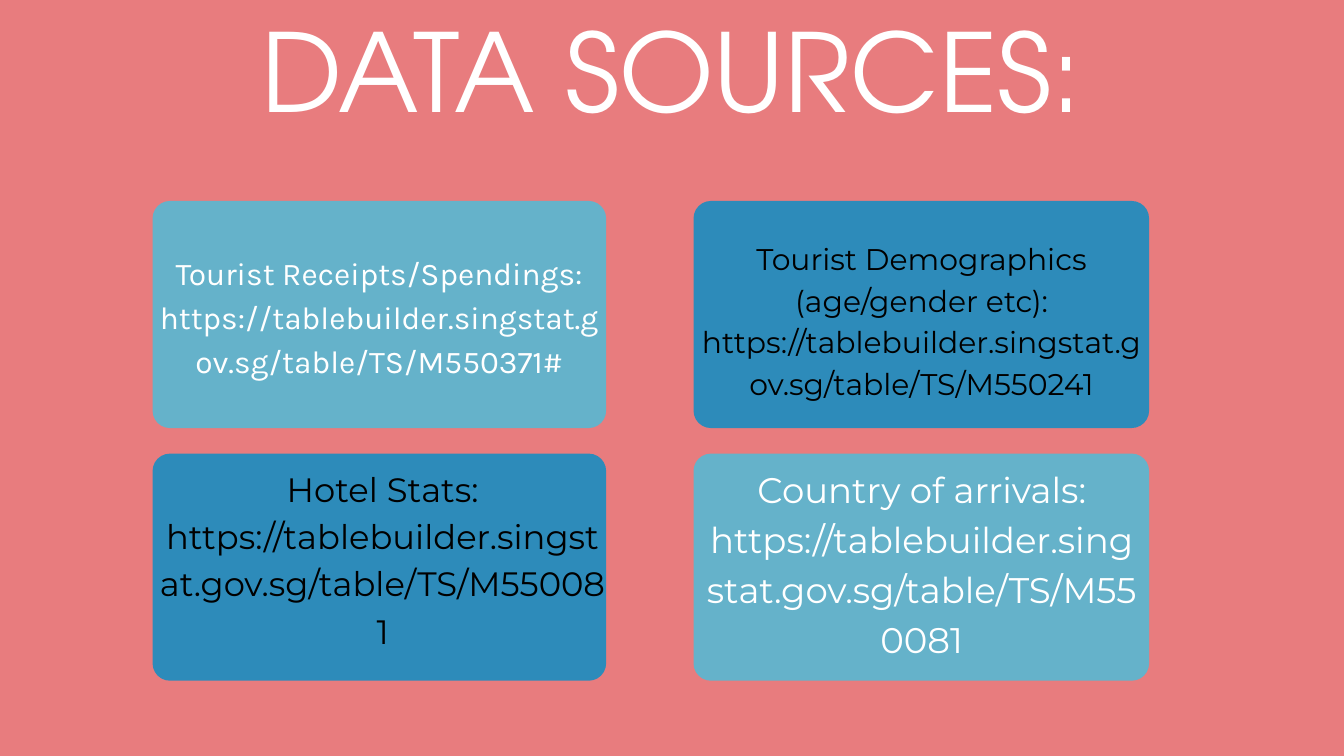
from pptx import Presentation
from pptx.dml.color import RGBColor
from pptx.enum.shapes import MSO_SHAPE
from pptx.enum.text import MSO_AUTO_SIZE, PP_ALIGN
from pptx.util import Inches, Pt

CORAL = RGBColor(0xE8, 0x7C, 0x7E)
LIGHT_BLUE = RGBColor(0x65, 0xB2, 0xCA)
DARK_BLUE = RGBColor(0x2D, 0x8B, 0xBA)
WHITE = RGBColor(0xFF, 0xFF, 0xFF)
BLACK = RGBColor(0, 0, 0)

TITLE = "DATA SOURCES:"
TABLE_URL = "https://tablebuilder.singstat.gov.sg/table/TS/"

# Rows of cards: label, table id, fill, text format, text box (left, top, width, height)
CARD_ROWS = [
    [
        ("Tourist Receipts/Spendings:", "M550371#", LIGHT_BLUE,
         dict(font="Karla", size=33.9, spacing=47.5, color=WHITE),
         (2.37, 3.68, 6.55, 1.95)),
        ("Tourist Demographics (age/gender etc):", "M550241", DARK_BLUE,
         dict(font="Montserrat", size=32, spacing=44.8, color=BLACK),
         (10.44, 3.49, 6.55, 2.42)),
    ],
    [
        ("Hotel Stats:", "M550081", DARK_BLUE,
         dict(font="Montserrat", size=36.2, spacing=50.7, color=BLACK),
         (2.37, 6.87, 6.65, 2.76)),
        ("Country of arrivals:", "M550081", LIGHT_BLUE,
         dict(font="Montserrat", size=38.1, spacing=53.4, color=WHITE),
         (10.44, 6.86, 6.55, 2.91)),
    ],
]
CARD_COLUMNS = [(2.27, 6.75), (10.32, 6.78)]  # left, width
CARD_TOP, CARD_PITCH, CARD_HEIGHT = 2.99, 3.76, 3.38
CORNER_RADIUS = 0.26


def add_text(slide, text, box, *, font, size, spacing, color):
    text_box = slide.shapes.add_textbox(*map(Inches, box))
    frame = text_box.text_frame
    frame.word_wrap = True
    frame.auto_size = MSO_AUTO_SIZE.SHAPE_TO_FIT_TEXT
    frame.margin_left = frame.margin_right = 0
    frame.margin_top = frame.margin_bottom = 0
    paragraph = frame.paragraphs[0]
    paragraph.alignment = PP_ALIGN.CENTER
    paragraph.line_spacing = Pt(spacing)
    run = paragraph.add_run()
    run.text = text
    run.font.name = font
    run.font.size = Pt(size)
    run.font.color.rgb = color


def add_card(slide, left, top, width, fill):
    card = slide.shapes.add_shape(
        MSO_SHAPE.ROUNDED_RECTANGLE,
        Inches(left), Inches(top), Inches(width), Inches(CARD_HEIGHT))
    card.adjustments[0] = CORNER_RADIUS / CARD_HEIGHT
    card.shadow.inherit = False
    card.fill.solid()
    card.fill.fore_color.rgb = fill
    card.line.fill.background()


def main():
    presentation = Presentation()
    presentation.slide_width = Inches(20)
    presentation.slide_height = Inches(11.25)
    slide = presentation.slides.add_slide(presentation.slide_layouts[6])
    slide.background.fill.solid()
    slide.background.fill.fore_color.rgb = CORAL

    add_text(slide, TITLE, (2.89, 0.45, 14.21, 1.64),
             font="TeX Gyre Adventor", size=116.4, spacing=111.7, color=WHITE)
    for row, cards in enumerate(CARD_ROWS):
        top = CARD_TOP + row * CARD_PITCH
        for (left, width), card in zip(CARD_COLUMNS, cards):
            label, table_id, fill, text_format, text_area = card
            add_card(slide, left, top, width, fill)
            add_text(slide, f"{label} {TABLE_URL}{table_id}", text_area, **text_format)

    presentation.save("out.pptx")


if __name__ == "__main__":
    main()
